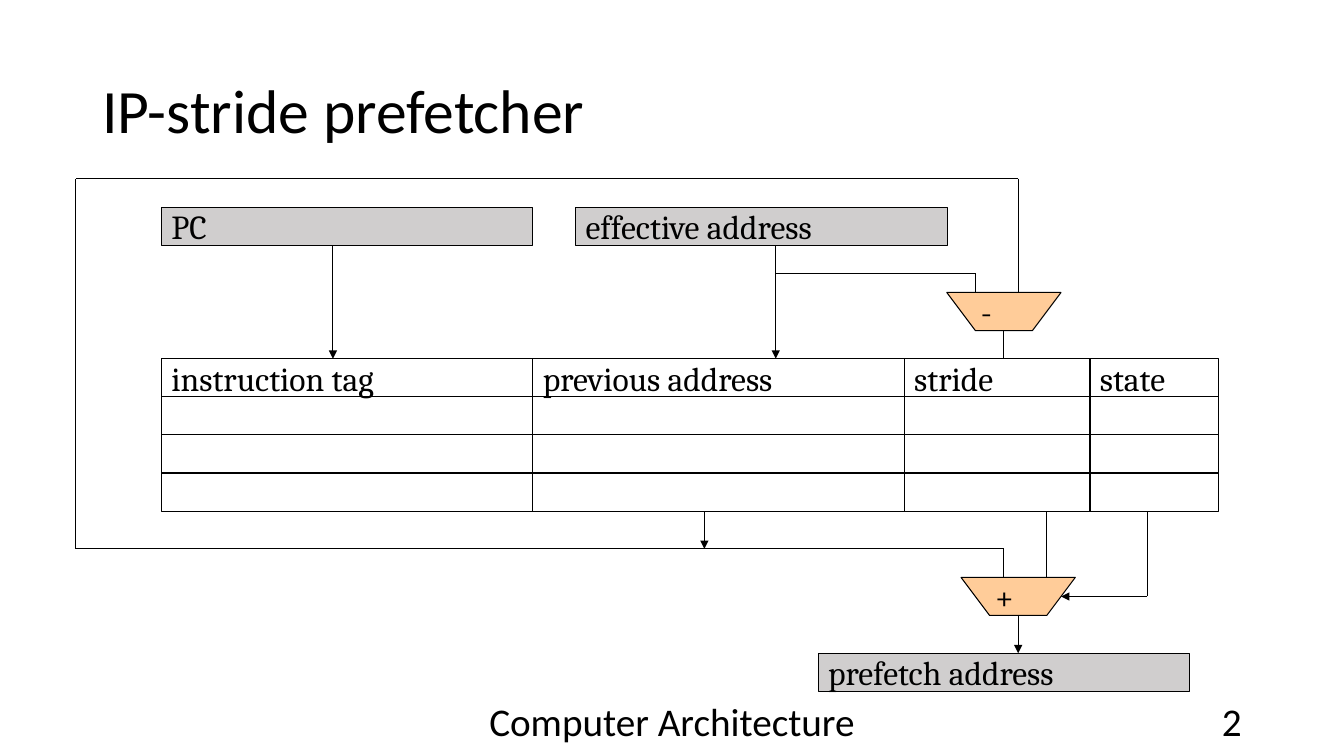
import pptx
import pptx.util
import pptx.dml.color
import pptx.enum.shapes
import pptx.enum.text
import pptx.oxml
import pptx.oxml.ns
from pptx.util import Cm

BLACK = pptx.dml.color.RGBColor(0x00, 0x00, 0x00)
GRAY = pptx.dml.color.RGBColor(0xD0, 0xCE, 0xCE)
ORANGE = pptx.dml.color.RGBColor(0xFF, 0xCC, 0x99)

ALIGN = pptx.enum.text.PP_ALIGN
CELL_W, CELL_H = 9.36, 0.96
COLUMNS = [("instruction tag", CELL_W), ("previous address", CELL_W),
           ("stride", 4.68), ("state", 3.24)]
ROWS = 4
UNIT_W, UNIT_INSET = 2.88, 0.72


def write(sp, text, size, font, align=ALIGN.LEFT):
    tf = sp.text_frame
    tf.word_wrap = True
    tf.vertical_anchor = pptx.enum.text.MSO_ANCHOR.MIDDLE
    p = tf.paragraphs[0]
    p.alignment = align
    r = p.add_run()
    r.text = text
    r.font.size = pptx.util.Pt(size)
    r.font.name = font
    r.font.color.rgb = BLACK
    return p


def style(sp, fill):
    sp.shadow.inherit = False
    if fill is None:
        sp.fill.background()
    else:
        sp.fill.solid()
        sp.fill.fore_color.rgb = fill
    sp.line.color.rgb = BLACK
    sp.line.width = pptx.util.Pt(0.75)


def add_box(s, x, y, w, text="", fill=None):
    sp = s.shapes.add_shape(pptx.enum.shapes.MSO_SHAPE.RECTANGLE,
                            Cm(x), Cm(y), Cm(w), Cm(CELL_H))
    style(sp, fill)
    if text:
        write(sp, text, 24, "Cambria")


def add_unit(s, x, y, sign):
    fb = s.shapes.build_freeform(Cm(x), Cm(y))
    fb.add_line_segments([
        (Cm(x + UNIT_INSET), Cm(y + CELL_H)),
        (Cm(x + UNIT_W - UNIT_INSET), Cm(y + CELL_H)),
        (Cm(x + UNIT_W), Cm(y)),
    ], close=True)
    sp = fb.convert_to_shape()
    style(sp, ORANGE)
    write(sp, sign, 24, "Cambria")
    sp.text_frame.margin_left = Cm(0.86)


def add_wire(s, points, arrow=False):
    for start, end in zip(points, points[1:]):
        c = s.shapes.add_connector(pptx.enum.shapes.MSO_CONNECTOR.STRAIGHT,
                                   *(Cm(v) for v in start + end))
        c.line.color.rgb = BLACK
        c.line.width = pptx.util.Pt(0.75)
        props = c._element.spPr
        pptx.oxml.ns.qn("a:effectLst")
        props.append(props.makeelement(pptx.oxml.ns.qn("a:effectLst"), {}))
    if arrow:
        ln = c.line._get_or_add_ln()
        ln.append(ln.makeelement(pptx.oxml.ns.qn("a:tailEnd"), {"type": "triangle"}))


def draw_title(s, x, y, w, h):
    sp = s.shapes.title
    sp.left, sp.top, sp.width, sp.height = Cm(x), Cm(y), Cm(w), Cm(h)
    p = write(sp, "IP-stride prefetcher", 44, "Calibri")
    p.line_spacing = 0.9


def draw_footer(s, x, y, w, h):
    for text, left, width, align in [
        ("Computer Architecture", x, 11.43, ALIGN.CENTER),
        ("2", x + w - 7.62, 7.62, ALIGN.RIGHT),
    ]:
        sp = s.shapes.add_textbox(Cm(left), Cm(y), Cm(width), Cm(h))
        write(sp, text, 28, "Calibri", align)


def draw_table(s, x, y):
    for row in range(ROWS):
        left = x
        for heading, width in COLUMNS:
            add_box(s, left, y + row * CELL_H, width, heading if row == 0 else "")
            left += width


def draw_inputs(s, x, y, table_top):
    address_x = x + 10.44
    add_box(s, x, y, CELL_W, "PC", GRAY)
    add_box(s, address_x, y, CELL_W, "effective address", GRAY)
    for wire_x in (x + 4.32, address_x + 5.04):
        add_wire(s, [(wire_x, y + CELL_H), (wire_x, table_top)], arrow=True)


def draw_stride_update(s, x, y, address_x, table_top):
    branch_y = y - 0.48
    port_x, out_x = x + UNIT_INSET, x + UNIT_W / 2
    add_unit(s, x, y, "-")
    add_wire(s, [(address_x, branch_y), (port_x, branch_y), (port_x, y)])
    add_wire(s, [(out_x, y + CELL_H), (out_x, table_top)])


def draw_prediction(s, x, y, table_bottom, previous_x, state_x):
    middle_y = y + CELL_H / 2
    out_x = x + UNIT_W / 2
    stride_x = x + UNIT_W - UNIT_INSET
    output_top = y + 1.91
    add_unit(s, x, y, "+")
    add_wire(s, [(stride_x, table_bottom), (stride_x, y)])
    add_wire(s, [(previous_x, table_bottom), (previous_x, y - 0.72)], arrow=True)
    add_wire(s, [(state_x, table_bottom), (state_x, middle_y),
                 (x + UNIT_W - UNIT_INSET / 2, middle_y)], arrow=True)
    add_wire(s, [(out_x, y + CELL_H), (out_x, output_top)], arrow=True)
    add_box(s, x - 3.6, output_top, CELL_W, "prefetch address", GRAY)


def draw_diagram(s, x, y):
    table_x, table_y = x + 2.16, y + 4.54
    table_bottom = table_y + ROWS * CELL_H
    minus_x, minus_y = x + 21.95, y + 2.87
    plus_x, plus_y = minus_x + 0.36, y + 10.05
    draw_table(s, table_x, table_y)
    draw_inputs(s, table_x, y + 0.72, table_y)
    draw_stride_update(s, minus_x, minus_y, table_x + 15.48, table_y)
    draw_prediction(s, plus_x, plus_y, table_bottom, table_x + 13.68, table_x + 24.84)
    entry_x, return_x, bus_y = plus_x + 1.08, minus_x + 1.8, plus_y - 0.72
    add_wire(s, [(entry_x, plus_y), (entry_x, bus_y), (x, bus_y),
                 (x, y), (return_x, y), (return_x, minus_y)])


def main():
    prs = pptx.Presentation()
    prs.slide_width, prs.slide_height = Cm(33.87), Cm(19.05)
    s = prs.slides.add_slide(prs.slide_layouts[5])
    draw_title(s, 2.33, 1.01, 29.21, 3.68)
    draw_footer(s, 11.22, 17.66, 20.32, 1.01)
    draw_diagram(s, 1.91, 4.5)
    prs.save("out.pptx")


if __name__ == "__main__":
    main()
